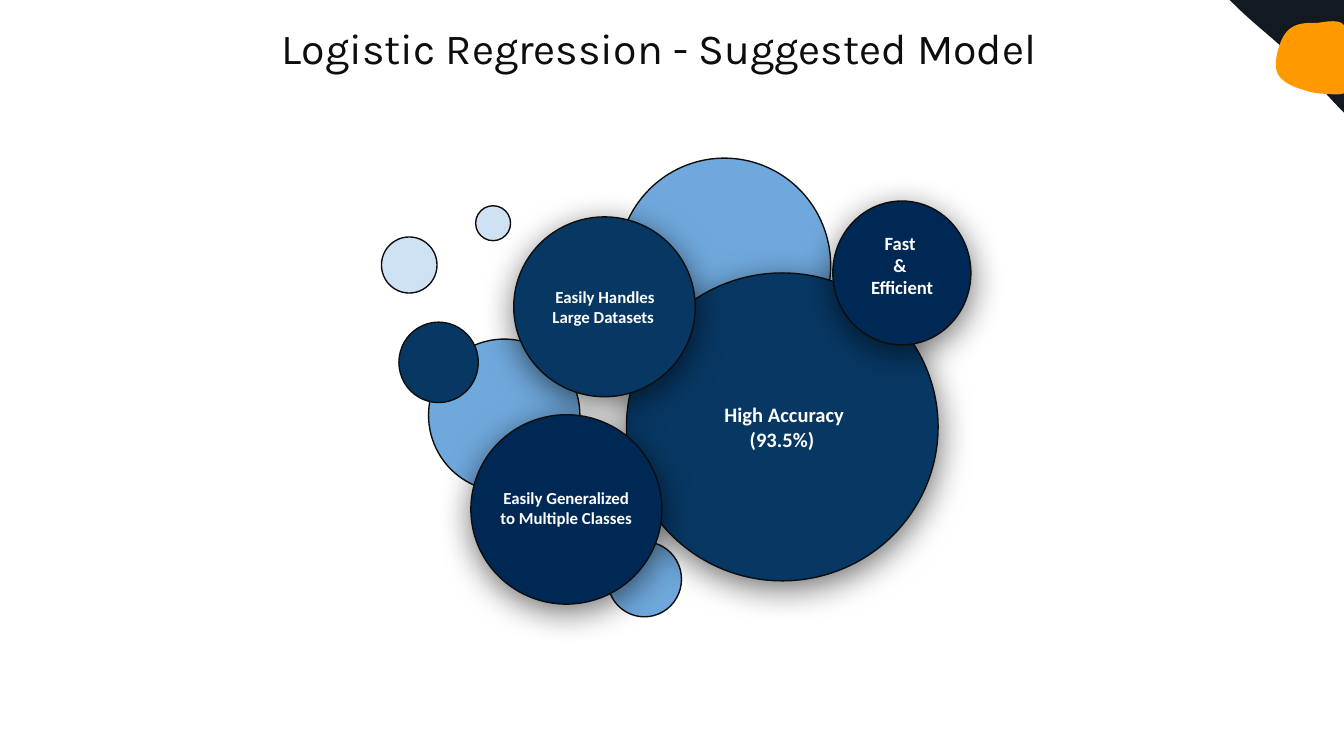
import pptx
import pptx.util
import pptx.dml.color
import pptx.enum.shapes
import pptx.enum.text
import pptx.oxml
import pptx.oxml.ns
import lxml.etree

Cm, Pt = pptx.util.Cm, pptx.util.Pt
RGB = pptx.dml.color.RGBColor.from_string
qn = pptx.oxml.ns.qn
align = pptx.enum.text.PP_ALIGN.CENTER
anchor = pptx.enum.text.MSO_ANCHOR
oval = pptx.enum.shapes.MSO_SHAPE.OVAL

HUES = {"ink": "0E0D0D", "coal": "131921", "gold": "FF9900", "pale": "CFE2F3",
        "sky": "6FA8DC", "blue": "073763", "navy": "002855", "white": "FFFFFF"}

SHADE = (
    f'<a:effectLst {pptx.oxml.ns.nsdecls("a")}>'
    f'<a:outerShdw blurRad="{Pt(18)}" dist="{Pt(4)}" dir="5400000" algn="bl" rotWithShape="0">'
    '<a:srgbClr val="000000"><a:alpha val="55000"/></a:srgbClr>'
    '</a:outerShdw></a:effectLst>')


def add_run(para, text, size, hue, font, bold=False):
    run = para.add_run()
    run.text = text
    run.font.size = Pt(size)
    run.font.name = font
    run.font.bold = bold
    run.font.color.rgb = RGB(HUES[hue])


def bend(shape):
    """Turn every three straight segments into one cubic curve."""
    lines = list(shape._element.iter(qn("a:lnTo")))
    for i in range(0, len(lines), 3):
        curve = lxml.etree.Element(qn("a:cubicBezTo"))
        lines[i].addprevious(curve)
        for line in lines[i:i + 3]:
            curve.append(line[0])
            line.getparent().remove(line)


deck = pptx.Presentation()
deck.slide_width, deck.slide_height = Cm(25.4), Cm(14.29)
slide = deck.slides.add_slide(deck.slide_layouts[5])

# Corner blobs: start, then two handles and an end per curve, in units of 2.54 cm
blobs = [
    ("coal", [
        (10.22, 1.01),
        (10.04, 0.92), (9.84, 0.66), (9.67, 0.48), (9.5, 0.3), (9.35, 0.2), (9.19, 0.04),
        (9.02, -0.12), (8.84, -0.35), (8.81, -0.52), (8.78, -0.69), (8.9, -0.81), (9.08, -0.84),
        (9.26, -0.87), (9.49, -0.82), (9.71, -0.71), (9.93, -0.59), (10.14, -0.43), (10.33, -0.23),
        (10.53, -0.03), (10.71, 0.19), (10.77, 0.38), (10.83, 0.58), (10.76, 0.74), (10.66, 0.87),
        (10.55, 1), (10.4, 1.09), (10.22, 1.01)]),
    ("gold", [
        (10.05, 0.31),
        (10.06, 0.37), (10.06, 0.42), (10.06, 0.48), (10.07, 0.54), (10.09, 0.62), (10.06, 0.66),
        (10.03, 0.7), (9.95, 0.71), (9.89, 0.7), (9.82, 0.7), (9.76, 0.69), (9.7, 0.67),
        (9.63, 0.65), (9.56, 0.62), (9.52, 0.57), (9.48, 0.52), (9.49, 0.44), (9.51, 0.37),
        (9.53, 0.3), (9.56, 0.23), (9.62, 0.2), (9.67, 0.17), (9.74, 0.17), (9.81, 0.17),
        (9.87, 0.16), (9.94, 0.15), (9.98, 0.17), (10.02, 0.19), (10.04, 0.26), (10.05, 0.31)]),
]
for hue, spots in blobs:
    points = [(Cm(2.54 * x), Cm(2.54 * y)) for x, y in spots]
    pen = slide.shapes.build_freeform(*points[0])
    pen.add_line_segments(points[1:], close=True)
    blob = pen.convert_to_shape()
    bend(blob)
    blob.shadow.inherit = False
    blob.fill.solid()
    blob.fill.fore_color.rgb = RGB(HUES[hue])
    blob.line.fill.background()

# Title
title = slide.shapes.title
title.left, title.top, title.width, title.height = Cm(3.86), Cm(0.3), Cm(17.22), Cm(2.16)
frame = title.text_frame
frame.margin_left = frame.margin_right = Cm(0.18)
frame.margin_top = frame.margin_bottom = Cm(0.1)
frame.vertical_anchor = anchor.TOP
frame.word_wrap = True
para = frame.paragraphs[0]
para.alignment = align
add_run(para, "Logistic Regression - Suggested Model", 23, "ink", "Karla")

# Bubbles: fill, box, and for the labelled ones text box, size and lines of (text, bold)
bubbles = [
    ("sky", (11.48, 10.24, 1.4, 1.42), None),
    ("pale", (7.21, 4.48, 1.05, 1.06), None),
    ("sky", (8.1, 6.41, 2.86, 2.88), None),
    ("sky", (11.68, 2.99, 4.02, 4.06), None),
    ("blue", (7.54, 6.09, 1.5, 1.52), None),
    ("pale", (8.99, 3.89, 0.66, 0.66), None),
    ("blue", (11.84, 5.16, 5.89, 5.82),
     ((12.53, 6.68, 4.5, 2.77), 11,
      [[(" ", False), ("High Accuracy", True)], [("(93.5%)", True)]])),
    ("blue", (9.71, 4.1, 3.43, 3.4),
     ((10, 4.67, 2.87, 2.26), 9, [[("Easily Handles Large Datasets ", True)]])),
    ("navy", (8.9, 7.84, 3.61, 3.58),
     ((9.15, 8.47, 3.1, 2.26), 9, [[("Easily Generalized to Multiple Classes", True)]])),
    ("navy", (15.74, 3.8, 2.61, 2.72),
     ((15.88, 4.12, 2.34, 1.78), 10,
      [[("Fast ", True)], [("& ", True)], [("Efficient", True)]])),
]
group = slide.shapes.add_group_shape()
for hue, box, label in bubbles:
    disc = group.shapes.add_shape(oval, *map(Cm, box))
    disc.fill.solid()
    disc.fill.fore_color.rgb = RGB(HUES[hue])
    disc.line.color.rgb = RGB(HUES["ink"])
    disc.line.width = Pt(0.75)
    if label is None:
        disc.shadow.inherit = False
        continue
    disc._element.spPr.append(pptx.oxml.parse_xml(SHADE))

    area, size, lines = label
    frame = group.shapes.add_textbox(*map(Cm, area)).text_frame
    frame.word_wrap = True
    frame.vertical_anchor = anchor.MIDDLE
    frame.margin_left = frame.margin_right = Cm(0.25)
    frame.margin_top = frame.margin_bottom = Cm(0.25)
    for i, line in enumerate(lines):
        para = frame.add_paragraph() if i else frame.paragraphs[0]
        para.alignment = align
        for text, bold in line:
            add_run(para, text, size, "white", "Calibri", bold)

deck.save("out.pptx")
